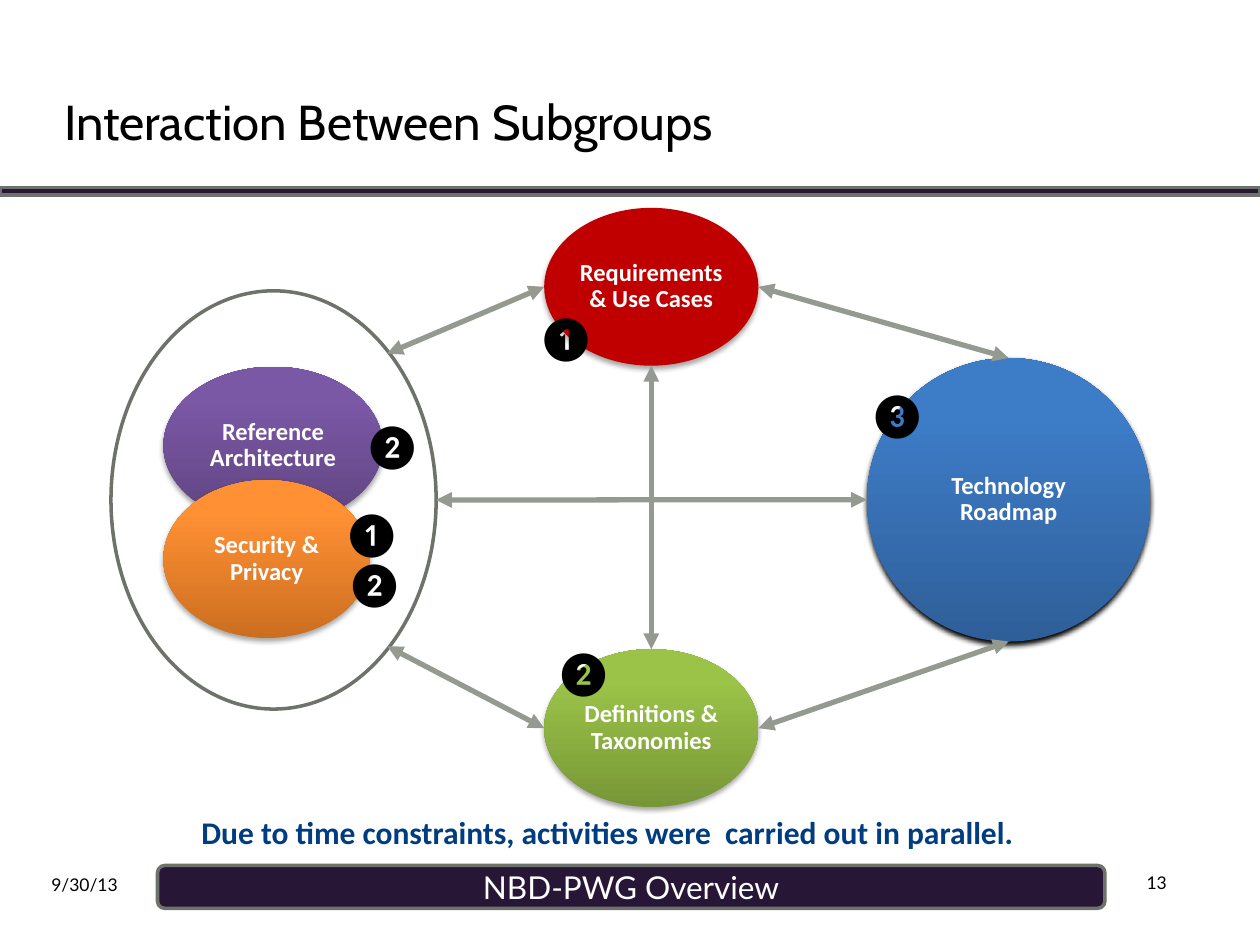
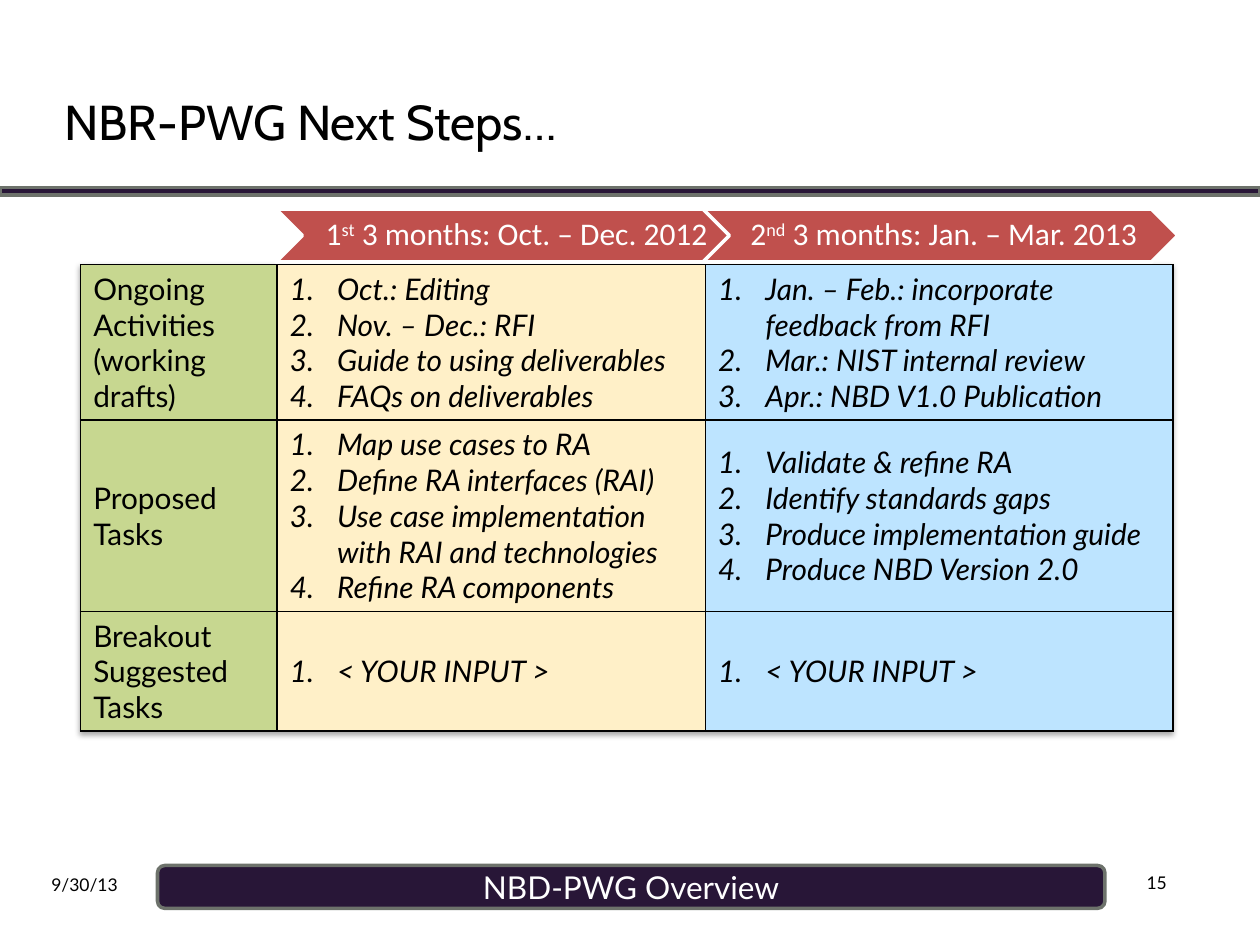
from dataclasses import dataclass
from lxml.etree import SubElement
from pptx import Presentation
from pptx.dml.color import RGBColor as RGB
from pptx.enum.shapes import MSO_CONNECTOR as LINE, MSO_SHAPE as FORM
from pptx.enum.text import MSO_ANCHOR as ANCHOR, PP_ALIGN as ALIGN
from pptx.oxml.ns import qn
from pptx.util import Pt


@dataclass(frozen=True)
class Theme:
    """Colours, fonts and type sizes of the deck."""
    dark: str = "281637"
    edge: str = "6D726B"
    arrow: str = "949A90"
    black: str = "000000"
    white: str = "FFFFFF"
    navy: str = "003C80"
    red: str = "C00000"
    brick: str = "C0504D"
    blue: tuple = ("2F5F99", "3D7CC7")
    green: tuple = ("779737", "9BC348")
    purple: tuple = ("5F4480", "7B58A6")
    orange: tuple = ("CC6E20", "FF9034")
    cols: tuple = ("C7D790", "FFF0C8", "BDE4FF")
    head: str = "Cabin"
    body: str = "Lato"
    label: str = "Calibri"
    title: int = 28
    badge: int = 24
    large: int = 18
    cell: int = 17
    oval: int = 14
    small: int = 10


T = Theme()


def shade(node, alpha):
    """Add a soft shadow below to an effect list."""
    cast = SubElement(node, qn("a:outerShdw"), blurRad=str(Pt(3.1)),
                      dist=str(Pt(1.8)), dir="5400000", rotWithShape="0")
    tint = SubElement(cast, qn("a:srgbClr"), val=T.black)
    SubElement(tint, qn("a:alpha"), val=str(alpha * 1000))


def spot(shape, across, down):
    """Give the point at these fractions of a shape's box."""
    return (shape.left + int(shape.width * across),
            shape.top + int(shape.height * down))


class Deck:
    """Holds the file and the current slide, and draws on it."""

    def __init__(self):
        """Start an empty deck of 10 by 7.5 inches."""
        self.file = Presentation()
        self.file.slide_width, self.file.slide_height = Pt(720), Pt(540)

    def page(self, title, num):
        """Add a slide with its title, bands and footer."""
        self.slide = self.file.slides.add_slide(self.file.slide_layouts[6])
        self.shapes = self.slide.shapes
        bar = self.form(FORM.ROUNDED_RECTANGLE, (90, 494.6, 541.4, 24.5), T.dark, T.edge)
        self.label(bar.text_frame, ["NBD-PWG Overview"], T.large, T.body, T.white,
                   align=ALIGN.CENTER)
        self.form(FORM.RECTANGLE, (0, 107.3, 720, 4.3), T.dark, T.edge)
        self.text((22.3, 496, 53.3, 19.4), ["9/30/13"], T.small, wrap=False)
        self.text((36.7, 37.4, 646.6, 64), [title], T.title, T.head,
                  pad=(0, 0, 0, 0), mid=True)
        self.text((655.2, 498.2, 28.8, 12.2), [str(num)], T.small, pad=(0, 0, 0, 0))

    def form(self, kind, box, fill=None, line=None):
        """Draw a preset shape, flat or with a two-tone fill."""
        shape = self.shapes.add_shape(kind, *map(Pt, box))
        shape.shadow.inherit = False
        if isinstance(fill, tuple):
            shape.fill.gradient()
            shape.fill.gradient_angle = 90
            for stop, tone, place in zip(shape.fill.gradient_stops, fill, (0, 0.8)):
                stop.color.rgb, stop.position = RGB.from_string(tone), place
        elif fill:
            shape.fill.solid()
            shape.fill.fore_color.rgb = RGB.from_string(fill)
        else:
            shape.fill.background()
        if line:
            shape.line.color.rgb = RGB.from_string(line)
            shape.line.width = Pt(2)
        else:
            shape.line.fill.background()
        return shape

    def label(self, frame, runs, size, font, tone, bold=False, align=ALIGN.LEFT,
              pad=None, space=None):
        """Fill a frame with one paragraph; a run may be (text, baseline)."""
        frame.word_wrap = True
        frame.vertical_anchor = ANCHOR.MIDDLE
        if pad:
            (frame.margin_left, frame.margin_top,
             frame.margin_right, frame.margin_bottom) = map(Pt, pad)
        self.fill(frame.paragraphs[0], runs, size, font, tone, bold, align, space)

    def fill(self, para, runs, size, font, tone, bold=False, align=ALIGN.LEFT,
             space=None, slant=False):
        """Put styled runs in a paragraph."""
        para.alignment, para.line_spacing = align, space
        for part in runs:
            words, lift = part if isinstance(part, tuple) else (part, 0)
            run = para.add_run()
            run.text = words
            run.font.size, run.font.name = Pt(size), font
            run.font.bold, run.font.italic = bold, slant
            run.font.color.rgb = RGB.from_string(tone)
            if lift:
                run.font._element.set("baseline", str(lift * 1000))

    def text(self, box, runs, size, font=T.body, tone=T.black, wrap=True,
             mid=False, **style):
        """Add a text box."""
        frame = self.shapes.add_textbox(*map(Pt, box)).text_frame
        self.label(frame, runs, size, font, tone, **style)
        frame.word_wrap = wrap
        frame.vertical_anchor = ANCHOR.MIDDLE if mid else ANCHOR.TOP

    def oval(self, box, words, fill, alpha=35):
        """Draw a shaded oval with a label."""
        shape = self.form(FORM.OVAL, box, fill)
        shade(shape._element.spPr.find(qn("a:effectLst")), alpha)
        self.label(shape.text_frame, [words], T.oval, T.label, T.white, bold=True,
                   align=ALIGN.CENTER, pad=(1, 1, 1, 1), space=0.9)
        return shape

    def badge(self, left, top, sign):
        """Set a circled digit."""
        self.text((left, top, 36, 36), [sign], T.badge, wrap=False)

    def arrow(self, start, end):
        """Join two points with a two-headed arrow."""
        link = self.shapes.add_connector(LINE.STRAIGHT, *start, *end)
        link.line.width = Pt(3)
        link.line.color.rgb = RGB.from_string(T.arrow)
        for tip in ("a:headEnd", "a:tailEnd"):
            SubElement(link.line._ln, qn(tip), type="triangle")
        SubElement(link._element.spPr, qn("a:effectLst"))

    def chevron(self, left, runs):
        """Draw a chevron with its heading."""
        self.form(FORM.CHEVRON, (left, 119.5, 271.4, 30.2), T.brick, T.white)
        self.text((left + 15, 119.5, 241.2, 30.2), runs, T.large, T.label, T.white,
                  mid=True, align=ALIGN.CENTER, pad=(6, 2, 2, 2), space=0.9)

    def table(self, box, wide, high, rows):
        """Add a table whose first column has labels and the others numbered lists."""
        frame = self.shapes.add_table(len(rows), len(wide), *map(Pt, box))
        grid = frame.table
        grid.first_row = grid.horz_banding = False
        cast = grid._tbl.tblPr.makeelement(qn("a:effectLst"))
        grid._tbl.tblPr.insert(0, cast)
        shade(cast, 35)
        for col, size in zip(grid.columns, wide):
            col.width = Pt(size)
        for row, size, line in zip(grid.rows, high, rows):
            row.height = Pt(size)
            for cell, tone, items in zip(row.cells, T.cols, line):
                self.cell(cell, tone, items)

    def cell(self, cell, tone, items):
        """Style a cell; a list of items is numbered, a string is plain."""
        for side in "LRTB":
            edge = SubElement(cell._tc.get_or_add_tcPr(), qn("a:ln" + side),
                              w=str(Pt(1)))
            ink = SubElement(edge, qn("a:solidFill"))
            SubElement(ink, qn("a:srgbClr"), val=T.black)
        cell.fill.solid()
        cell.fill.fore_color.rgb = RGB.from_string(tone)
        cell.vertical_anchor = ANCHOR.MIDDLE
        plain = isinstance(items, str)
        for i, words in enumerate([items] if plain else items):
            para = cell.text_frame.add_paragraph() if i else cell.text_frame.paragraphs[0]
            self.fill(para, [words], T.cell, T.body, T.black, slant=not plain)
            if not plain:
                prop = para._p.get_or_add_pPr()
                prop.set("marL", str(Pt(27)))
                prop.set("indent", str(-Pt(27)))
                SubElement(prop, qn("a:buFont"), typeface="+mj-lt")
                SubElement(prop, qn("a:buAutoNum"), type="arabicPeriod")


def groups(deck):
    """Build the slide on how the subgroups interact."""
    deck.page("Interaction Between Subgroups", 13)
    road = deck.oval((495.4, 204.6, 162, 162), "Technology Roadmap", T.blue, 100)
    needs = deck.oval((311, 118.8, 122.4, 90.2), "Requirements & Use Cases", T.red)
    terms = deck.oval((311, 371, 122.4, 90.2), "Definitions & Taxonomies", T.green)
    ring = deck.form(FORM.OVAL, (63.4, 166.2, 185.8, 239), line=T.edge)

    top, left, base, right = (0.5, 0), (0, 0.5), (0.5, 1), (1, 0.5)
    for one, at, two, to in (
        (ring, (0.85, 0.15), needs, left),
        (ring, (0.85, 0.85), terms, left),
        (needs, base, terms, top),
        (needs, right, road, top),
        (terms, right, road, base),
        (ring, right, road, left),
    ):
        deck.arrow(spot(one, *at), spot(two, *to))

    deck.badge(313.2, 366.5, "❷")
    deck.oval((93.4, 209.6, 125.3, 90.2), "Reference Architecture", T.purple)
    deck.badge(203.8, 236.9, "❷")
    deck.badge(492.5, 218.9, "❸")
    deck.badge(303.1, 175, "❶")
    deck.oval((93.4, 274.4, 118.1, 90.2), "Security & Privacy", T.orange)
    deck.badge(193.7, 315.4, "❷")
    deck.badge(192.2, 287.3, "❶")
    deck.text((108, 460.8, 504.7, 28.8),
              ["Due to time constraints, activities were  carried out in parallel."],
              T.large, T.label, T.navy, bold=True)


def steps(deck):
    """Build the slide on the next steps."""
    deck.page("NBR-PWG Next Steps…", 15)
    yours = ["< YOUR INPUT >"]
    deck.table((46.1, 151.2, 624.2, 266.4), (112.3, 244.8, 267.1), (88.9, 109.3, 68.2), (
        ("Ongoing Activities (working drafts)",
         ["Oct.: Editing", "Nov. – Dec.: RFI", "Guide to using deliverables",
          "FAQs on deliverables"],
         ["Jan. – Feb.: incorporate feedback from RFI", "Mar.: NIST internal review",
          "Apr.: NBD V1.0 Publication"]),
        ("Proposed Tasks",
         ["Map use cases to RA", "Define RA interfaces (RAI)",
          "Use case implementation with RAI and technologies", "Refine RA components"],
         ["Validate & refine RA", "Identify standards gaps",
          "Produce implementation guide", "Produce NBD Version 2.0"]),
        ("Breakout Suggested Tasks", yours, yours),
    ))
    spans = (("1", "st", "Oct. – Dec. 2012"), ("2", "nd", "Jan. – Mar. 2013"))
    for i, (num, end, span) in enumerate(spans):
        deck.chevron(157.7 + 244 * i, [num, (end, 30), f" 3 months: {span}"])


deck = Deck()
groups(deck)
steps(deck)
deck.file.save("out.pptx")
